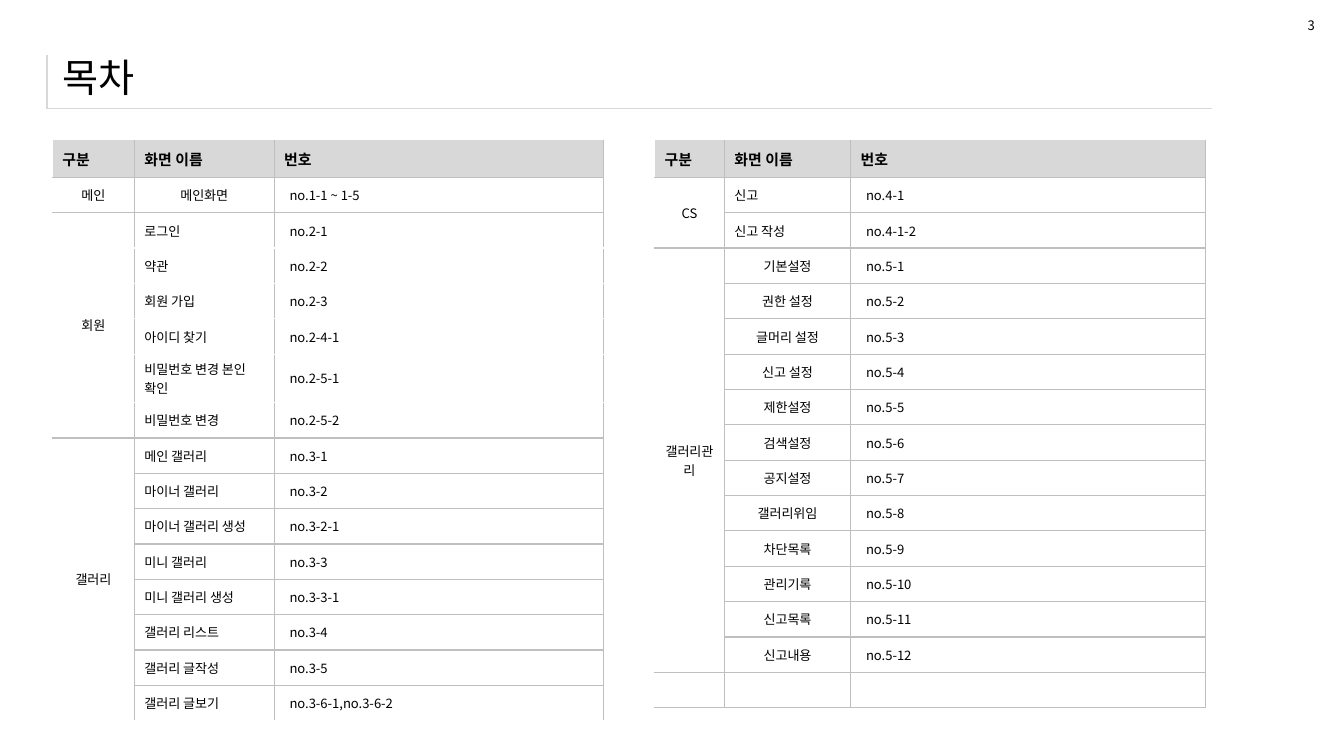
from lxml.etree import SubElement
from pptx import Presentation
from pptx.dml.color import RGBColor
from pptx.enum.text import MSO_ANCHOR as Anchor, PP_ALIGN as Align
from pptx.oxml.ns import qn
from pptx.util import Inches, Pt

FONT = "Noto Sans CJK KR"
COLORS = {"text": "000000", "paper": "FFFFFF", "header": "D8D8D8",
          "line": "BFBFBF", "frame": "D8D8D8"}
PLAIN_STYLE = "{2D5ABB26-0587-4C30-8999-92F81FD0307C}"
COLUMNS = 1000             # slide grid, 16:9
ROWS = COLUMNS * 9 / 16
UNIT = Inches(0.01)        # one grid step
SIDES = {"left": "a:lnL", "right": "a:lnR", "top": "a:lnT", "bottom": "a:lnB"}
HEADINGS = ["구분", "화면 이름", "번호"]

# Each group: category, alignment of names, open (no inner lines), entries
LEFT_GROUPS = [
    ("메인", Align.CENTER, False, [("메인화면", "no.1-1 ~ 1-5")]),
    ("회원", None, True, [
        ("로그인", "no.2-1"), ("약관", "no.2-2"), ("회원 가입", "no.2-3"),
        ("아이디 찾기", "no.2-4-1"), ("비밀번호 변경 본인 확인", "no.2-5-1"),
        ("비밀번호 변경", "no.2-5-2")]),
    ("갤러리", None, False, [
        ("메인 갤러리", "no.3-1"), ("마이너 갤러리", "no.3-2"),
        ("마이너 갤러리 생성", "no.3-2-1"), ("미니 갤러리", "no.3-3"),
        ("미니 갤러리 생성", "no.3-3-1"), ("갤러리 리스트", "no.3-4"),
        ("갤러리 글작성", "no.3-5"), ("갤러리 글보기", "no.3-6-1,no.3-6-2")]),
]
SETTINGS = ["기본설정", "권한 설정", "글머리 설정", "신고 설정", "제한설정", "검색설정",
            "공지설정", "갤러리위임", "차단목록", "관리기록", "신고목록", "신고내용"]
RIGHT_GROUPS = [
    ("CS", None, False, [("신고", "no.4-1"), ("신고 작성", "no.4-1-2")]),
    ("갤러리관리", Align.CENTER, False,
     [(name, f"no.5-{number}") for number, name in enumerate(SETTINGS, 1)]),
    ("", None, False, [("", "")]),
]


def grid(*steps):
    return [round(step * UNIT) for step in steps]


def format_paragraph(paragraph, size, bold=False, align=None):
    font = paragraph.font
    font.size, font.bold, font.name = Pt(size), bold, FONT
    font.color.rgb = RGBColor.from_string(COLORS["text"])
    paragraph.alignment = align
    # Korean letters take the East Asian typeface
    defaults = paragraph._p.pPr.find(qn("a:defRPr"))
    SubElement(defaults, qn("a:ea"), typeface=FONT)


def set_margins(target, side, end):
    target.margin_left = target.margin_right = round(side * UNIT)
    target.margin_top = target.margin_bottom = round(end * UNIT)


def set_borders(cell, **colors):
    """Draw the named sides; a white left side is the open table edge."""
    properties = cell._tc.get_or_add_tcPr()
    position = 0
    for side, tag in SIDES.items():
        if side not in colors:
            continue
        name = colors[side]
        width = Pt(1) if side == "left" and name == "paper" else Pt(0.75)
        line = SubElement(properties, qn(tag), w=str(int(width)))
        fill = SubElement(line, qn("a:solidFill"))
        SubElement(fill, qn("a:srgbClr"), val=COLORS[name])
        properties.insert(position, line)
        position += 1


def fill_cell(cell, text, size=7, bold=False, align=None, fill="paper", hanging=False):
    cell.fill.solid()
    cell.fill.fore_color.rgb = RGBColor.from_string(COLORS[fill])
    cell.vertical_anchor = Anchor.MIDDLE
    set_margins(cell, 7.5, 4)
    paragraph = cell.text_frame.paragraphs[0]
    if text:
        paragraph.text = text
    format_paragraph(paragraph, size, bold, align)
    if hanging:
        paragraph_properties = paragraph._p.get_or_add_pPr()
        paragraph_properties.set("marL", str(8 * UNIT))
        paragraph_properties.set("indent", str(-4 * UNIT))


def add_plain_table(slide, box, row_count, widths):
    frame = slide.shapes.add_table(row_count, len(widths), *grid(*box))
    table = frame.table
    table.first_row = table.horz_banding = False
    table._tbl.tblPr.find(qn("a:tableStyleId")).text = PLAIN_STYLE
    for column, width in zip(table.columns, grid(*widths)):
        column.width = width
    return frame


def add_heading(slide, box):
    # Rule to the left of and under the title
    frame = add_plain_table(slide, box, 1, [box[2]])
    cell = frame.table.cell(0, 0)
    fill_cell(cell, "")
    set_borders(cell, left="frame", bottom="frame")

    # Title in front of the rule
    title = slide.shapes.title
    title.left, title.top, title.width, title.height = grid(
        box[0] + 4, box[1] - 7.5, 937, 47)
    title.text_frame.text = "목차"
    title.text_frame.vertical_anchor = Anchor.MIDDLE
    set_margins(title.text_frame, 7.5, 4)
    format_paragraph(title.text_frame.paragraphs[0], 21, align=Align.LEFT)
    frame._element.addnext(title._element)


def add_page_number(slide, box):
    text_frame = slide.shapes.add_textbox(*grid(*box)).text_frame
    text_frame.word_wrap = True
    set_margins(text_frame, 7, 4)
    text_frame.text = "3"
    format_paragraph(text_frame.paragraphs[0], 7)


def add_contents_table(slide, box, widths, groups, open_end=False):
    row_count = 1 + sum(len(entries) for *_, entries in groups)
    table = add_plain_table(slide, box, row_count, widths).table
    header_height = 28
    body_height = (box[3] - header_height) / (row_count - 1)
    for index, row in enumerate(table.rows):
        row.height = grid(body_height if index else header_height)[0]

    # Header row
    for column, heading in enumerate(HEADINGS):
        cell = table.cell(0, column)
        fill_cell(cell, heading, 8, True, fill="header")
        set_borders(cell, left="line" if column else "paper",
                    right="line", bottom="line")

    # Groups, each with one merged category cell
    first = 1
    for category, align, is_open, entries in groups:
        last = first + len(entries) - 1
        for row, (name, number) in enumerate(entries, first):
            ends_table = open_end and row == row_count - 1
            top = "paper" if is_open and row > first else "line"
            bottom = "paper" if ends_table or is_open and row < last else "line"
            fill_cell(table.cell(row, 1), name, align=align)
            fill_cell(table.cell(row, 2), number, hanging=bool(number))
            for column in (1, 2):
                set_borders(table.cell(row, column), left="line", right="line",
                            top=top, bottom=bottom)
            category_cell = table.cell(row, 0)
            fill_cell(category_cell, category if row == first else "", align=Align.CENTER)
            open_bottom = open_end and last == row_count - 1
            set_borders(category_cell, left="paper", right="line", top="line",
                        bottom="paper" if open_bottom else "line")
        if last > first:
            table.cell(first, 0).merge(table.cell(last, 0))
        first = last + 1


def main():
    presentation = Presentation()
    presentation.slide_width, presentation.slide_height = grid(COLUMNS, ROWS)
    slide = presentation.slides.add_slide(presentation.slide_layouts[5])
    add_heading(slide, (35, 41, 867, 40))
    add_contents_table(slide, (39, 104, 410, 423), (61, 104, 245), LEFT_GROUPS, open_end=True)
    add_page_number(slide, (966, 9, 20, 19))
    add_contents_table(slide, (487, 104, 410, 423), (52, 94, 264), RIGHT_GROUPS)
    presentation.save("out.pptx")


if __name__ == "__main__":
    main()
